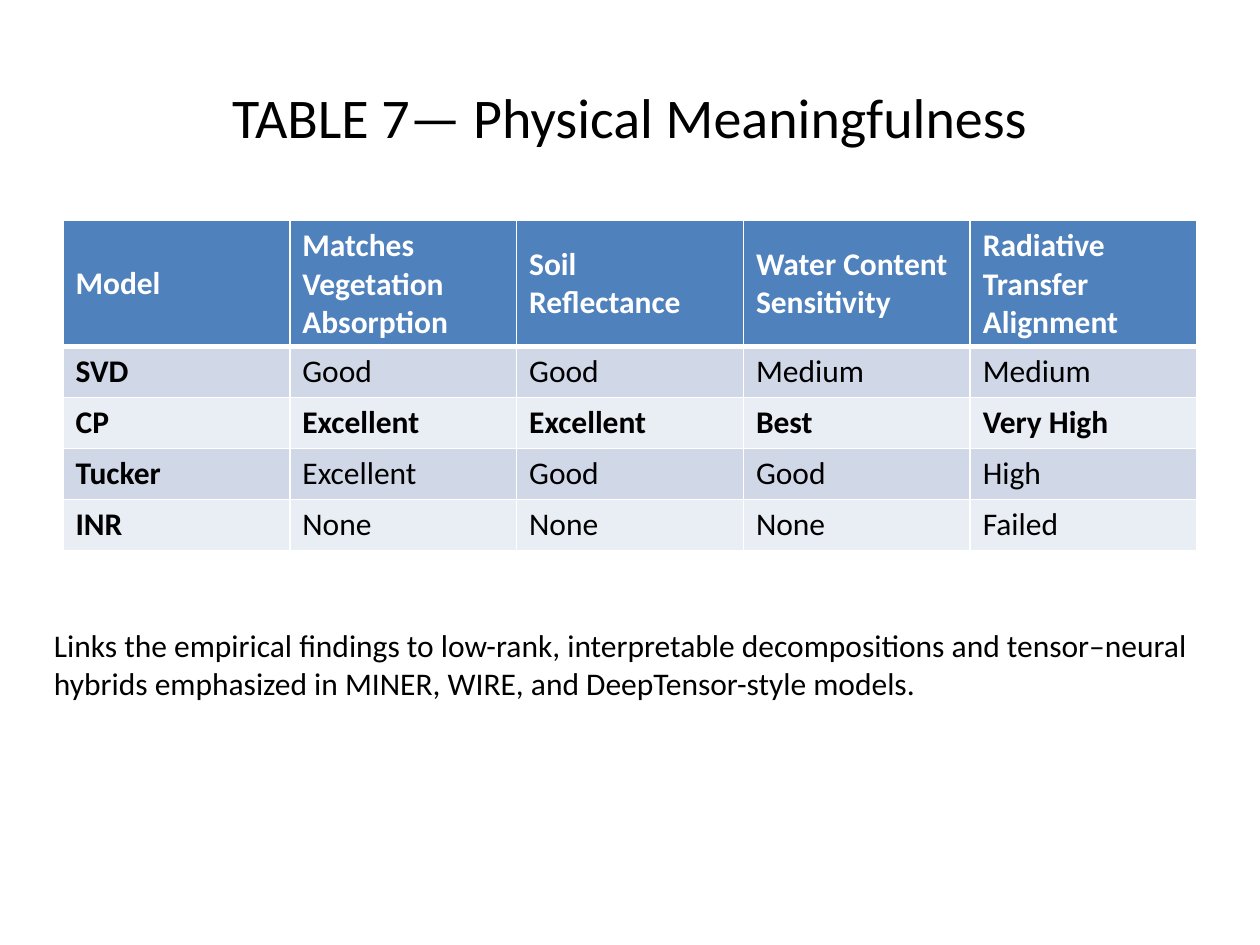
import lxml.etree
import pptx
import pptx.dml.color
import pptx.enum.text
import pptx.oxml.ns
import pptx.util

Inches = pptx.util.Inches
WHITE, BLACK, HEADER = "FFFFFF", "000000", "4F81BD"
BANDS = ("D0D8E8", "E9EDF4")
EMPHASIZED_MODEL = "CP"
ROWS = [
    ["Model", "Matches Vegetation Absorption", "Soil Reflectance",
     "Water Content Sensitivity", "Radiative Transfer Alignment"],
    ["SVD", "Good", "Good", "Medium", "Medium"],
    ["CP", "Excellent", "Excellent", "Best", "Very High"],
    ["Tucker", "Excellent", "Good", "Good", "High"],
    ["INR", "None", "None", "None", "Failed"],
]


def color(value):
    """Return the RGB color for a hex string."""
    return pptx.dml.color.RGBColor.from_string(value)


def style_para(para, size, value, bold=False):
    """Set the font of one paragraph."""
    para.font.name = "Calibri"
    para.font.size = pptx.util.Pt(size)
    para.font.bold = bold
    para.font.color.rgb = color(value)


def add_border(cell, side, points):
    """Draw one white edge of a table cell."""
    qn = pptx.oxml.ns.qn
    properties = cell._tc.get_or_add_tcPr()
    line = lxml.etree.SubElement(
        properties, qn(f"a:ln{side}"), w=str(pptx.util.Pt(points)))
    fill = lxml.etree.SubElement(line, qn("a:solidFill"))
    lxml.etree.SubElement(fill, qn("a:srgbClr"), val=WHITE)


def add_text(page, left, top, width, height, text, size):
    """Add a wrapping text box and return it."""
    box = page.shapes.add_textbox(
        Inches(left), Inches(top), Inches(width), Inches(height))
    box.text_frame.word_wrap = True
    box.text_frame.text = text
    style_para(box.text_frame.paragraphs[0], size, BLACK)
    return box


def add_title(page, left, top, width, height):
    """Place the centered slide title."""
    frame = add_text(page, left, top, width, height,
                     "TABLE 7— Physical Meaningfulness", 32).text_frame
    frame.vertical_anchor = pptx.enum.text.MSO_ANCHOR.MIDDLE
    frame.paragraphs[0].alignment = pptx.enum.text.PP_ALIGN.CENTER


def add_ratings(page, left, top, width, height):
    """Place the table of model ratings with a tall header row."""
    header_height = Inches(1)
    table = page.shapes.add_table(
        len(ROWS), len(ROWS[0]), Inches(left), Inches(top),
        Inches(width), Inches(height)).table
    body_height = (Inches(height) - header_height) // (len(ROWS) - 1)
    for index, values in enumerate(ROWS):
        is_header = index == 0
        table.rows[index].height = header_height if is_header else body_height
        edges = {"L": 1, "R": 1, "T": 3 if index == 1 else 1,
                 "B": 3 if is_header else 1}
        for column, text in enumerate(values):
            cell = table.cell(index, column)
            cell.text = text
            cell.vertical_anchor = pptx.enum.text.MSO_ANCHOR.MIDDLE
            for side, points in edges.items():
                add_border(cell, side, points)
            cell.fill.solid()
            cell.fill.fore_color.rgb = color(
                HEADER if is_header else BANDS[(index - 1) % 2])
            bold = is_header or column == 0 or values[0] == EMPHASIZED_MODEL
            style_para(cell.text_frame.paragraphs[0], 18,
                       WHITE if is_header else BLACK, bold)


def add_note(page, left, top, width, height):
    """Place the explanatory note below the table."""
    box = add_text(
        page, left, top, width, height,
        "Links the empirical findings to low-rank, interpretable "
        "decompositions and tensor–neural hybrids emphasized in MINER, "
        "WIRE, and DeepTensor-style models.", 18)
    box.text_frame.auto_size = pptx.enum.text.MSO_AUTO_SIZE.SHAPE_TO_FIT_TEXT


def main():
    """Build and save the slide."""
    deck = pptx.Presentation()
    deck.slide_width, deck.slide_height = Inches(10), Inches(7.5)
    page = deck.slides.add_slide(deck.slide_layouts[6])
    add_title(page, 0.5, 0.3, 9, 1.25)
    add_ratings(page, 0.5, 1.75, 9, 2.62)
    add_note(page, 0.33, 4.92, 9.33, 0.71)
    deck.save("out.pptx")


if __name__ == "__main__":
    main()
